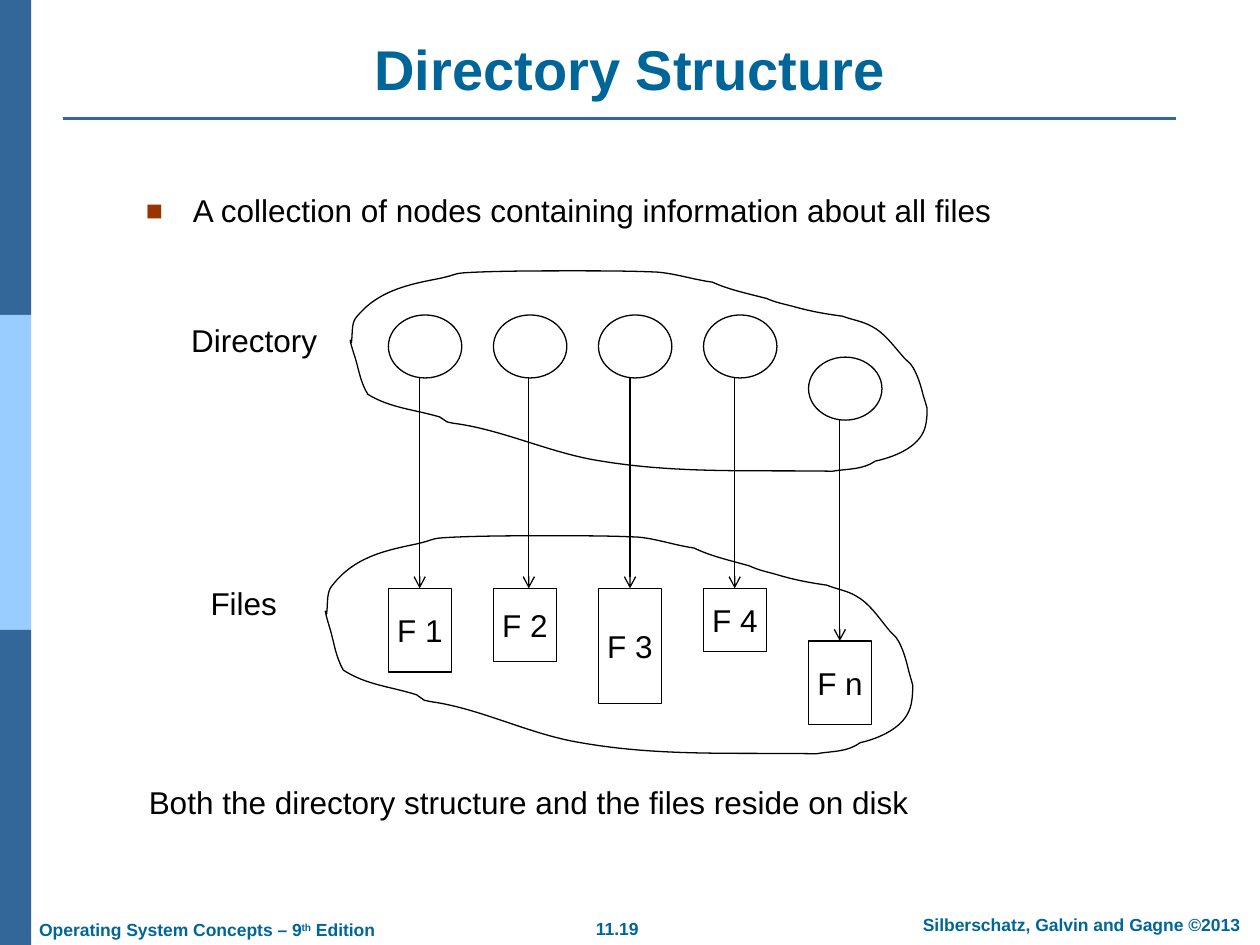
from lxml.etree import SubElement
from pptx import Presentation
from pptx.dml.color import RGBColor
from pptx.enum.shapes import MSO_CONNECTOR, MSO_SHAPE
from pptx.enum.text import MSO_ANCHOR, MSO_AUTO_SIZE, PP_ALIGN
from pptx.oxml.ns import qn
from pptx.util import Cm, Pt

FONT, BLACK, WHITE = "Arial", "000000", "FFFFFF"
TEAL, NAVY, SKY, RUST = "006699", "336699", "99CCFF", "993300"
THIN = 0.74

# All lengths are in centimetres: left, top, width, height
TITLE = ("Directory Structure", (1.27, 0.58, 22.86, 1.6))
BULLET = ("A collection of nodes containing information about all files",
          (2.69, 3.81, 20.47, 0.99))
CLOSING = ("Both the directory structure and the files reside on disk",
           (2.75, 15.67, 21.11, 1.07))
LABELS = [("Directory", (3.6, 6.35, 3.05, 1.02)),
          ("Files", (3.99, 11.65, 1.85, 1.02))]
PAGE_NUMBER = ("11.19", (11.1, 18.38, 2.69, 0.69))
AUTHORS = ("Silberschatz, Galvin and Gagne ©2013", (18.03, 18.31, 7.54, 0.69))
BOOK = (("Operating System Concepts – 9", "th", " Edition"),
        (0.54, 18.4, 7.3, 0.69))
SIDE_BANDS = [NAVY, SKY, NAVY]

# File name, top of its node, top and height of its box, x of its arrow
FILES = [("F 1", 6.35, 11.86, 1.69, 8.46),
         ("F 2", 6.35, 11.86, 1.48, 10.66),
         ("F 3", 6.35, 11.86, 2.33, 12.7),
         ("F 4", 6.35, 11.86, 1.27, 14.81),
         ("F n", 7.2, 12.92, 1.69, 16.93)]
FIRST_COLUMN, LAST_COLUMN = 7.83, 16.3
COLUMN_STEP = (LAST_COLUMN - FIRST_COLUMN) / (len(FILES) - 1)
NODE_WIDTH, NODE_HEIGHT, FILE_WIDTH = 1.48, 1.27, 1.27

# Both groups share one outline, stretched to its own frame
GROUP_FRAMES = [(7.06, 5.46, 11.63, 4.09), (6.56, 10.8, 11.84, 4.45)]
OUTLINE_WIDTH, OUTLINE_HEIGHT = 457, 161
OUTLINE_START = (1, 57)
# Two control points and the end point of each curve
OUTLINE_CURVES = [
    (2, 50, 1, 43, 4, 38), (21, 16, 45, 11, 71, 6),
    (89, 2, 79, 2, 101, 1), (126, 0, 151, 0, 177, 0),
    (199, 0, 221, 0, 243, 1), (257, 2, 272, 7, 287, 9),
    (300, 15, 315, 18, 330, 22), (337, 25, 342, 26, 350, 28),
    (364, 32, 375, 34, 390, 36), (398, 39, 406, 40, 413, 44),
    (423, 49, 430, 59, 437, 67), (440, 71, 444, 73, 446, 77),
    (450, 84, 452, 91, 454, 99), (455, 102, 457, 109, 457, 109),
    (457, 113, 457, 122, 454, 128), (448, 141, 430, 148, 416, 151),
    (406, 158, 394, 157, 382, 159), (318, 158, 260, 161, 199, 151),
    (159, 145, 121, 126, 82, 121), (80, 121, 79, 120, 77, 120),
    (75, 119, 73, 117, 71, 116), (51, 110, 32, 109, 14, 98),
    (8, 88, 7, 79, 4, 69), (4, 69, 0, 57, 0, 55),
    (0, 54, 1, 56, 1, 57)]


def rgb(color):
    """Turn a hex string into a colour."""
    return RGBColor.from_string(color)


def write(holder, text, size=18, color=BLACK, bold=False, align=PP_ALIGN.CENTER,
          anchor=MSO_ANCHOR.TOP, wrap=True, before=0):
    """Write one paragraph into a shape; a tuple of texts becomes runs."""
    frame = holder.text_frame
    frame.word_wrap, frame.vertical_anchor = wrap, anchor
    paragraph = frame.paragraphs[0]
    paragraph.alignment, paragraph.space_before = align, Pt(before)
    for part in (text if isinstance(text, tuple) else (text,)):
        paragraph.add_run().text = part
    font = paragraph.font
    font.name, font.size, font.bold = FONT, Pt(size), bold
    font.color.rgb = rgb(color)
    return paragraph


def add_text(content, grow=False, **style):
    """Add a text box from a (text, frame) pair."""
    text, frame = content
    box = slide.shapes.add_textbox(*map(Cm, frame))
    if grow:
        box.text_frame.auto_size = MSO_AUTO_SIZE.SHAPE_TO_FIT_TEXT
    return write(box, text, **style)


def add_block(kind, frame, fill, line=None):
    """Add a flat preset shape, outlined only when a line colour is given."""
    block = slide.shapes.add_shape(kind, *map(Cm, frame))
    block.shadow.inherit = False
    block.fill.solid()
    block.fill.fore_color.rgb = rgb(fill)
    if line:
        block.line.color.rgb, block.line.width = rgb(line), Pt(THIN)
    else:
        block.line.fill.background()
    return block


def add_line(start, end, color, width, arrow=False):
    """Draw a straight line, with an open arrowhead at its end on request."""
    line = slide.shapes.add_connector(MSO_CONNECTOR.STRAIGHT,
                                      *map(Cm, start + end))
    line.line.color.rgb, line.line.width = rgb(color), Pt(width)
    if arrow:
        SubElement(line.line._get_or_add_ln(), qn("a:tailEnd"), type="arrow")
    SubElement(line._element.spPr, qn("a:effectLst"))


def add_bullet(paragraph):
    """Give a paragraph a hanging square bullet."""
    properties = paragraph._p.get_or_add_pPr()
    properties.set("marL", str(Cm(0.95)))
    properties.set("indent", str(Cm(-0.95)))
    bullet_color = SubElement(properties, qn("a:buClr"))
    SubElement(bullet_color, qn("a:srgbClr"), val=RUST)
    SubElement(properties, qn("a:buSzPct"), val="90000")
    SubElement(properties, qn("a:buFont"), typeface=FONT)
    SubElement(properties, qn("a:buChar"), char="■")
    # The schema wants the default run properties after the bullet
    properties.append(properties.find(qn("a:defRPr")))


def add_group(frame):
    """Draw the group outline stretched to a frame."""
    left, top, width, height = map(Cm, frame)
    builder = slide.shapes.build_freeform(
        *OUTLINE_START, scale=(width / OUTLINE_WIDTH, height / OUTLINE_HEIGHT))
    builder.add_line_segments([curve[4:] for curve in OUTLINE_CURVES], close=True)
    group = builder.convert_to_shape(left, top)
    # Bend each straight segment into its curve
    segments = list(group._element.iter(qn("a:lnTo")))
    for segment, curve in zip(segments, OUTLINE_CURVES):
        bend = segment.getparent().makeelement(qn("a:cubicBezTo"), {})
        for x, y in zip(curve[::2], curve[1::2]):
            SubElement(bend, qn("a:pt"), x=str(x), y=str(y))
        segment.getparent().replace(segment, bend)
    group.shadow.inherit = False
    group.fill.background()
    group.line.color.rgb, group.line.width = rgb(BLACK), Pt(THIN)


deck = Presentation()
deck.slide_width, deck.slide_height = Cm(25.4), Cm(19.05)
slide = deck.slides.add_slide(deck.slide_layouts[6])

for i, band in enumerate(SIDE_BANDS):
    add_block(MSO_SHAPE.RECTANGLE, (0, 6.35 * i, 0.63, 6.35), band)
add_line((1.27, 2.39), (23.7, 2.39), NAVY, 1.5)

footer = dict(size=10, color=TEAL, bold=True, before=6.2, grow=True)
add_text(PAGE_NUMBER, wrap=False, **footer)
add_text(AUTHORS, **footer)
edition = add_text(BOOK, wrap=False, align=PP_ALIGN.LEFT, **footer)
edition.runs[1].font._element.set("baseline", "30000")

add_text(TITLE, size=32, color=TEAL, bold=True, anchor=MSO_ANCHOR.BOTTOM)
bullet = add_text(BULLET, align=PP_ALIGN.LEFT, before=7.9)
bullet.line_spacing = 0.9
add_bullet(bullet)

for i, (name, node_top, file_top, file_height, arrow_x) in enumerate(FILES):
    left = FIRST_COLUMN + i * COLUMN_STEP
    add_block(MSO_SHAPE.OVAL, (left, node_top, NODE_WIDTH, NODE_HEIGHT),
              WHITE, BLACK)
    file_box = add_block(MSO_SHAPE.RECTANGLE,
                         (left, file_top, FILE_WIDTH, file_height), WHITE, BLACK)
    write(file_box, name, anchor=MSO_ANCHOR.MIDDLE, wrap=False)
    add_line((arrow_x, node_top + NODE_HEIGHT), (arrow_x, file_top),
             BLACK, THIN, arrow=True)

for frame in GROUP_FRAMES:
    add_group(frame)
for label in LABELS:
    add_text(label, grow=True, anchor=MSO_ANCHOR.MIDDLE, wrap=False, before=11.2)
add_text(CLOSING, align=PP_ALIGN.LEFT)

deck.save("out.pptx")
